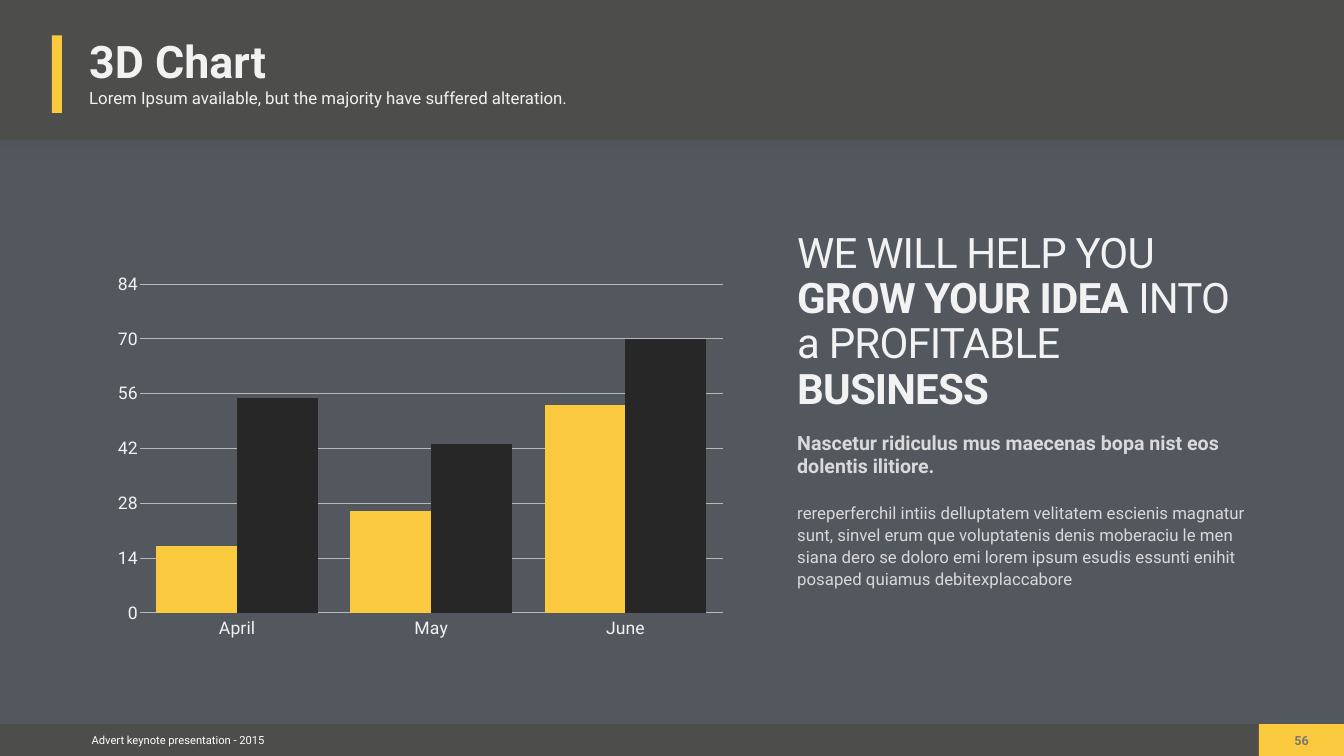
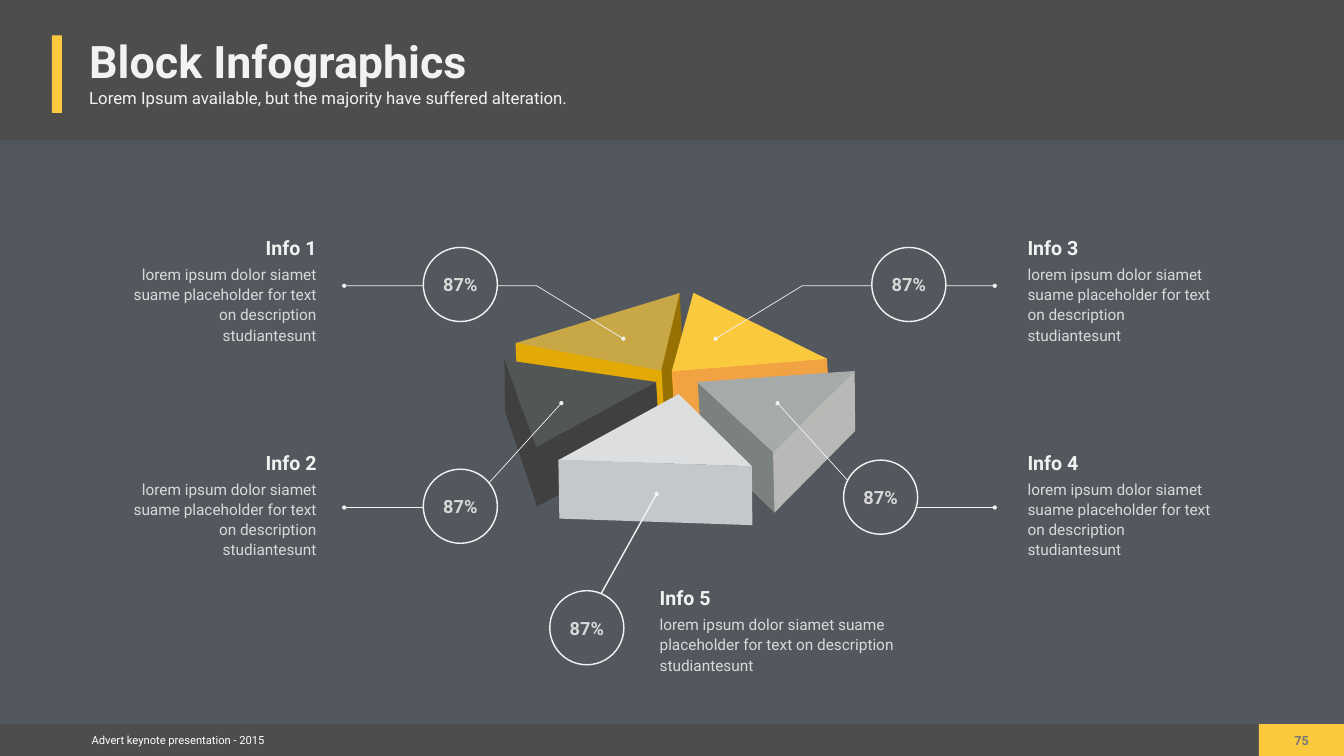
import pptx
import pptx.chart.data
import pptx.dml.color
import pptx.enum.chart
import pptx.enum.shapes
import pptx.enum.text
import pptx.oxml.ns
import pptx.util
from dataclasses import dataclass
from lxml import etree

Inches = pptx.util.Inches
Pt = pptx.util.Pt
qn = pptx.oxml.ns.qn
Kind = pptx.enum.shapes.MSO_SHAPE
Align = pptx.enum.text.PP_ALIGN
Anchor = pptx.enum.text.MSO_ANCHOR


@dataclass(frozen=True)
class Theme:
    font: str = "Roboto"
    back: str = "53585F"
    band: str = "4D4E4C"
    gold: str = "FAC93D"
    dark: str = "262726"
    grid: str = "B8B8B8"
    white: str = "FFFFFF"
    pale: str = "F2F2F2"
    soft: str = "D9D9D9"
    mute: str = "777776"
    title: float = 64
    hero: float = 60
    lead: float = 28
    rate: float = 26
    axis: float = 25.2
    text: float = 24
    note: float = 22
    page: float = 18
    foot: float = 16


T = Theme()
WIDE, HIGH = 26.67, 15
PAD = 0.08
MIRROR = 26.57  # sum of x for two mirrored points of the block figure
RING = 1.47
SUB = "Lorem Ipsum available, but the majority have suffered alteration."
NOTE = "lorem ipsum dolor siamet suame placeholder for text on description studiantesunt"

# Each block: faces from back to front as (colour, opacity, points).
BLOCKS = [
    [("FAC93D", 70, [(13.5, 5.81), (10.23, 6.81), (13.13, 7.37)]),
     ("987104", 100, [(13.12, 7.37), (13.18, 8.69), (13.55, 7.13), (13.49, 5.81)]),
     ("E3AA06", 100, [(10.23, 6.8), (10.29, 8.12), (13.2, 8.68), (13.13, 7.36)])],
    [("525655", 100, [(13.03, 7.58), (10.01, 7.14), (10.64, 8.88)]),
     ("404040", 100, [(10.63, 8.88), (10.65, 10.05), (13.09, 8.77), (13.02, 7.58)]),
     ("404040", 100, [(10.01, 7.14), (10.02, 8.16), (10.66, 10.05), (10.64, 8.88)])],
    [("FFA941", 92, [(13.33, 7.36), (13.4, 8.53), (16.48, 8.28), (16.41, 7.11)]),
     ("FAC93D", 100, [(13.76, 5.81), (13.33, 7.37), (16.41, 7.12)])],
    [("A6AAA9", 100, [(16.96, 7.36), (13.83, 7.58), (15.34, 8.98)]),
     ("7B817F", 100, [(13.85, 7.6), (13.91, 8.76), (15.38, 10.18), (15.35, 8.99)]),
     ("B8B9B7", 100, [(15.34, 8.98), (15.37, 10.17), (16.97, 8.55), (16.96, 7.36)])],
    [("DCDEE0", 100, [(14.92, 9.25), (13.47, 7.82), (11.08, 9.13)]),
     ("C4C8CB", 100, [(11.08, 9.12), (11.1, 10.29), (14.93, 10.42), (14.92, 9.25)])],
]

# Title, left, top and width of the text, alignment, corner of the ring.
INFOS = [
    ("Info 1", 2.43, 4.6, 3.85, Align.RIGHT, (8.4, 4.91)),
    ("Info 2", 2.43, 8.86, 3.85, Align.RIGHT, (8.4, 9.31)),
    ("Info 3", 20.39, 4.6, 3.85, Align.LEFT, (17.3, 4.91)),
    ("Info 4", 20.39, 8.86, 3.85, Align.LEFT, (16.74, 9.13)),
    ("Info 5", 13.09, 11.55, 4.7, Align.LEFT, (10.91, 11.72)),
]

LEADS = [
    [(6.83, 5.67), (10.65, 5.67), (12.37, 6.72)],
    [(6.83, 10.07), (9.26, 10.07), (11.14, 8)],
]


def rgb(code):
    return pptx.dml.color.RGBColor.from_string(code)


def style(font, size, color, bold=False):
    font.name, font.size, font.bold = T.font, Pt(size), bold
    font.color.rgb = rgb(color)


def paint(shape, color, alpha=100):
    """Flat fill without outline or shadow."""
    shape.shadow.inherit = False
    shape.fill.solid()
    shape.fill.fore_color.rgb = rgb(color)
    shape.line.fill.background()
    if alpha < 100:
        tint = shape._element.spPr.find(".//" + qn("a:srgbClr"))
        etree.SubElement(tint, qn("a:alpha"), val=str(alpha * 1000))


def box(slide, x, y, w, h, color):
    shape = slide.shapes.add_shape(
        Kind.RECTANGLE, Inches(x), Inches(y), Inches(w), Inches(h))
    paint(shape, color)
    return shape


def shade(shape):
    """Soft shadow under the header band."""
    glow = etree.SubElement(
        shape._element.spPr.find(qn("a:effectLst")), qn("a:outerShdw"),
        blurRad=str(Pt(26)), dist=str(Pt(2)), dir="5400000", rotWithShape="0")
    tint = etree.SubElement(glow, qn("a:srgbClr"), val="000000")
    etree.SubElement(tint, qn("a:alpha"), val="5000")


def setup(frame, pad, wrap, anchor):
    frame.margin_left = frame.margin_right = Inches(pad)
    frame.margin_top = frame.margin_bottom = Inches(pad)
    frame.word_wrap, frame.vertical_anchor = wrap, anchor


def label(slide, x, y, w, h, text, size, color, bold=False, align=Align.LEFT,
          pad=0, wrap=True, anchor=Anchor.TOP, lines=None):
    area = slide.shapes.add_textbox(Inches(x), Inches(y), Inches(w), Inches(h))
    frame = area.text_frame
    setup(frame, pad, wrap, anchor)
    frame.text = text
    para = frame.paragraphs[0]
    para.alignment, para.line_spacing = align, lines
    style(para.runs[0].font, size, color, bold)
    return frame


def trace(shapes, points, close):
    spots = [(Inches(x), Inches(y)) for x, y in points]
    pen = shapes.build_freeform(*spots[0])
    pen.add_line_segments(spots[1:], close=close)
    return pen.convert_to_shape()


def dots(shape, width):
    """Pale line with a dot at both ends."""
    shape.line.color.rgb = rgb(T.pale)
    shape.line.width = Pt(width)
    line = shape._element.spPr.find(qn("a:ln"))
    for end in ("a:headEnd", "a:tailEnd"):
        etree.SubElement(line, qn(end), type="oval")


def lead(slide, points):
    shape = trace(slide.shapes, points, False)
    shape.shadow.inherit = False
    shape.fill.background()
    dots(shape, 1)


def stem(slide, start, end):
    line = slide.shapes.add_connector(
        pptx.enum.shapes.MSO_CONNECTOR.STRAIGHT,
        *(Inches(v) for v in start + end))
    dots(line, 2)
    etree.SubElement(line._element.spPr, qn("a:effectLst"))


def ring(slide, x, y, text):
    shape = slide.shapes.add_shape(
        Kind.OVAL, Inches(x), Inches(y), Inches(RING), Inches(RING))
    paint(shape, T.back)
    shape.line.color.rgb = rgb(T.pale)
    shape.line.width = Pt(2)
    frame = shape.text_frame
    setup(frame, 0, False, Anchor.MIDDLE)
    frame.text = text
    para = frame.paragraphs[0]
    para.alignment = Align.CENTER
    style(para.runs[0].font, T.rate, T.soft, True)


def info(slide, title, x, y, w, align):
    head = 3.12
    left = x + w - head if align == Align.RIGHT else x
    label(slide, x, y + 0.62, w, 1.93, NOTE, T.note, T.soft,
          align=align, lines=1.1)
    label(slide, left, y, head, 0.62, title, T.lead, T.pale, True, align,
          anchor=Anchor.MIDDLE)


def page(deck, title, width, number):
    """New slide with bands, title, footer and page number."""
    slide = deck.slides.add_slide(deck.slide_layouts[6])
    slide.background.fill.solid()
    slide.background.fill.fore_color.rgb = rgb(T.back)
    shade(box(slide, 0, 0, WIDE, 2.78, T.band))
    box(slide, 0, 14.37, WIDE, 0.63, T.band)
    label(slide, 1.71, 14.46, 3.65, 0.45, "Advert keynote presentation - 2015",
          T.foot, T.white, align=Align.CENTER, pad=PAD, wrap=False,
          anchor=Anchor.MIDDLE)
    box(slide, 24.98, 14.37, 1.69, 0.63, T.gold)
    box(slide, 1.03, 0.7, 0.2, 1.54, T.gold)
    label(slide, 1.69, 0.59, width, 1.23, title, T.title, T.pale, True,
          pad=PAD, wrap=False, anchor=Anchor.MIDDLE)
    label(slide, 1.69, 1.67, 10.74, 0.56, SUB, T.text, T.pale, pad=PAD)
    label(slide, 25.6, 14.47, 0.46, 0.49, number, T.page, T.mute, True,
          Align.CENTER, PAD, False)
    return slide


def place(chart):
    """Fix the inner plot area as shares of the chart frame."""
    plot = chart._chartSpace.chart.plotArea
    for old in plot.findall(qn("c:layout")):
        plot.remove(old)
    layout = etree.Element(qn("c:layout"))
    plot.insert(0, layout)
    manual = etree.SubElement(layout, qn("c:manualLayout"))
    for key, val in (("layoutTarget", "inner"), ("xMode", "edge"),
                     ("yMode", "edge"), ("x", "0.035"), ("y", "0.03"),
                     ("w", "0.96"), ("h", "0.91")):
        etree.SubElement(manual, qn("c:" + key), val=val)


def bars(slide):
    data = pptx.chart.data.CategoryChartData()
    data.categories = ["April", "May", "June"]
    data.add_series("Series 1", (17, 26, 53))
    data.add_series("Series 2", (55, 43, 70))
    chart = slide.shapes.add_chart(
        pptx.enum.chart.XL_CHART_TYPE.COLUMN_CLUSTERED,
        Inches(2.34), Inches(5.42), Inches(12.06), Inches(7.25), data).chart
    chart.has_legend = chart.has_title = False
    style(chart.font, T.axis, T.pale)
    plot = chart.plots[0]
    plot.gap_width, plot.overlap, plot.vary_by_categories = 40, 0, False
    for series, color in zip(plot.series, (T.gold, T.dark)):
        series.format.fill.solid()
        series.format.fill.fore_color.rgb = rgb(color)
    for axis in (chart.category_axis, chart.value_axis):
        axis.major_tick_mark = axis.minor_tick_mark = pptx.enum.chart.XL_TICK_MARK.NONE
        axis.format.line.fill.background()
        style(axis.tick_labels.font, T.axis, T.pale)
    chart.category_axis.tick_label_position = pptx.enum.chart.XL_TICK_LABEL_POSITION.LOW
    axis = chart.value_axis
    axis.minimum_scale, axis.maximum_scale, axis.major_unit = 0, 84, 14
    axis.has_major_gridlines = True
    axis.major_gridlines.format.line.color.rgb = rgb(T.grid)
    axis.major_gridlines.format.line.width = Pt(1)
    place(chart)


def pitch(slide):
    """Headline in mixed weights with the text below it."""
    frame = label(slide, 15.82, 4.6, 9.16, 3.64, "WE WILL HELP YOU ",
                  T.hero, T.pale, lines=0.9)
    para = frame.paragraphs[0]
    for text, bold in (("GROW YOUR IDEA", True), (" INTO a PROFITABLE ", False),
                       ("BUSINESS", True)):
        run = para.add_run()
        run.text = text
        style(run.font, T.hero, T.pale, bold)
    for run in para.runs:
        run._r.get_or_add_rPr().set("spc", "-120")
    frame = label(slide, 15.82, 8.54, 9.16, 3.19,
                  "Nascetur ridiculus mus maecenas bopa nist eos dolentis ilitiore.",
                  T.lead, T.soft, True)
    para = frame.add_paragraph()
    para.text = ("rereperferchil intiis delluptatem velitatem escienis magnatur sunt, "
                 "sinvel erum que voluptatenis denis moberaciu le men siana dero se "
                 "doloro emi lorem ipsum esudis essunti enihit posaped quiamus "
                 "debitexplaccabore")
    para.space_before, para.line_spacing = Pt(33), 1.1
    style(para.runs[0].font, T.text, T.soft)


def blocks(slide):
    for faces in BLOCKS:
        group = slide.shapes.add_group_shape()
        for color, alpha, points in faces:
            paint(trace(group.shapes, points, True), color, alpha)


def main():
    deck = pptx.Presentation()
    deck.slide_width, deck.slide_height = Inches(WIDE), Inches(HIGH)

    slide = page(deck, "3D Chart", 3.67, "56")
    bars(slide)
    pitch(slide)

    slide = page(deck, "Block Infographics", 7.72, "75")
    blocks(slide)
    for title, x, y, w, align, _ in INFOS:
        info(slide, title, x, y, w, align)
    for points in LEADS:
        lead(slide, points)
        lead(slide, [(MIRROR - x, y) for x, y in points])
    stem(slide, (13.03, 9.8), (11.8, 12.01))
    for *_, spot in INFOS:
        ring(slide, *spot, "87%")

    deck.save("out.pptx")


if __name__ == "__main__":
    main()
